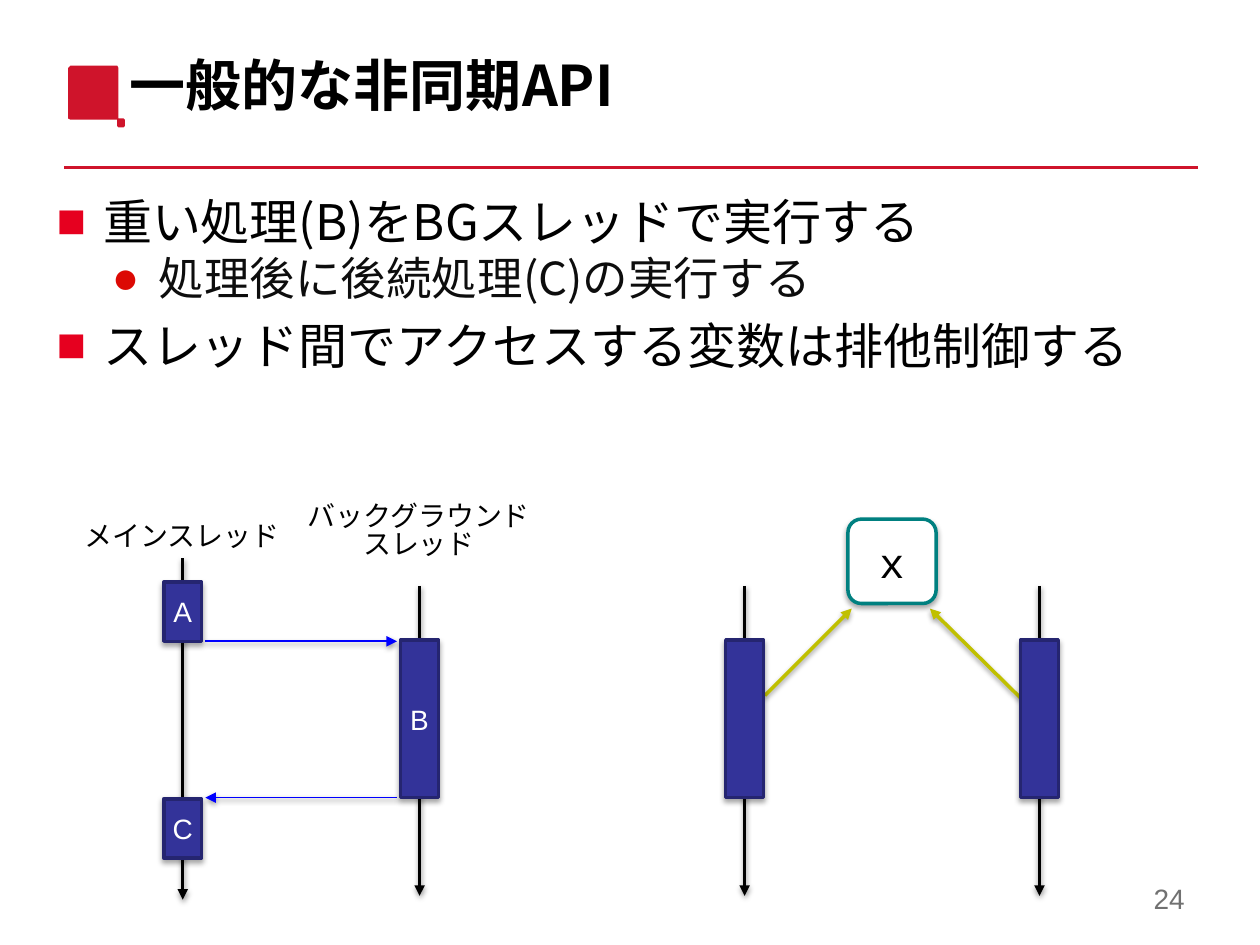
from lxml.etree import SubElement
from pptx import Presentation
from pptx.dml.color import RGBColor
from pptx.enum.shapes import MSO_CONNECTOR, MSO_SHAPE
from pptx.enum.text import MSO_ANCHOR, PP_ALIGN
from pptx.oxml.ns import qn
from pptx.util import Inches, Pt


class Theme:
    red, black, white = "CF142B", "000000", "FFFFFF"
    navy, edge, blue = "333399", "252570", "0000FF"
    teal, olive = "008080", "C0C000"
    sans, mono, kanji = "Arial", "Courier New", "Noto Sans CJK JP"
    tight = 0.83
    title = {"name": kanji, "size": Pt(32), "bold": True}
    main = {"name": kanji, "size": Pt(28)}
    sub = {"name": kanji, "size": Pt(26)}
    label = {"name": sans, "size": Pt(16)}
    code = {"name": mono, "size": Pt(24)}


def write(par, text, style, color, **layout):
    """Put one styled run into a paragraph, with the given paragraph format."""
    for key, value in layout.items():
        setattr(par, key, value)
    run = par.add_run()
    run.text = text
    for key, value in style.items():
        setattr(run.font, key, value)
    run.font.color.rgb = RGBColor.from_string(color)
    SubElement(run.font._element, qn("a:ea"), typeface=Theme.kanji)


def cast(shape, alpha=0, drop=0):
    """Give a shape a soft shadow straight below, or none when alpha is 0."""
    props = shape._element.spPr
    effects = SubElement(props, qn("a:effectLst"))
    if alpha:
        shadow = SubElement(effects, qn("a:outerShdw"), blurRad=str(Pt(3)),
                            dist=str(Pt(drop)), dir="5400000", rotWithShape="0")
        tint = SubElement(shadow, qn("a:srgbClr"), val=Theme.black)
        SubElement(tint, qn("a:alpha"), val=str(alpha * 1000))


deck = Presentation()
deck.slide_width, deck.slide_height = Inches(10), Inches(7.5)
slide = deck.slides.add_slide(deck.slide_layouts[6])
shapes = slide.shapes

# Title mark: a square with a small tab at its lower right, corners cut
mark = [(0.56, 0.52), (0.93, 0.52), (0.94, 0.54), (0.94, 0.94), (0.98, 0.94),
        (0.99, 0.95), (0.99, 1), (0.98, 1.01), (0.94, 1.01), (0.93, 1),
        (0.93, 0.95), (0.56, 0.95), (0.54, 0.94), (0.54, 0.54)]
points = [(Inches(x), Inches(y)) for x, y in mark]
pen = shapes.build_freeform(*points[0])
pen.add_line_segments(points[1:])
badge = pen.convert_to_shape()
badge.shadow.inherit = False
badge.fill.solid()
badge.fill.fore_color.rgb = RGBColor.from_string(Theme.red)
badge.line.fill.background()

# Title, page number and thread names
left, mid, right = PP_ALIGN.LEFT, PP_ALIGN.CENTER, PP_ALIGN.RIGHT
top, middle = MSO_ANCHOR.TOP, MSO_ANCHOR.MIDDLE
notes = [
    ((0.93, 0.36, 7.05, 0.7), ["一般的な非同期API"], Theme.title, Theme.black,
     left, middle, 0.1),
    ((7.35, 6.95, 2.15, 0.4), ["24"], Theme.label, "717171", right, middle, 0.1),
    ((0.62, 4.11, 1.66, 0.32), ["メインスレッド"], Theme.label, Theme.black,
     left, top, 0.05),
    ((2.35, 3.95, 1.95, 0.66), ["バックグラウンド", "スレッド"], Theme.label,
     Theme.black, mid, top, 0.05),
]
for place, lines, style, color, align, anchor, inset in notes:
    frame = shapes.add_textbox(*map(Inches, place)).text_frame
    frame.word_wrap = inset == 0.1
    frame.vertical_anchor = anchor
    frame.margin_left = frame.margin_right = Inches(inset)
    for i, text in enumerate(lines):
        par = frame.add_paragraph() if i else frame.paragraphs[0]
        write(par, text, style, color, alignment=align, line_spacing=Theme.tight)

# Bulleted points
points = [
    ("重い処理(B)をBGスレッドで実行する", 0, 0.37, "■", "E6001F", Theme.main, Theme.black, 0),
    ("処理後に後続処理(C)の実行する", 1, 0.81, "●", "DC0904", Theme.sub, "0D0D0D", 6),
    ("スレッド間でアクセスする変数は排他制御する", 0, 0.37, "■", "E6001F", Theme.main,
     Theme.black, 0),
]
frame = shapes.add_textbox(*map(Inches, (0.35, 1.55, 9.65, 2.03))).text_frame
frame.word_wrap = True
for i, (text, level, indent, sign, tint, style, color, after) in enumerate(points):
    par = frame.add_paragraph() if i else frame.paragraphs[0]
    props = par._p.get_or_add_pPr()
    props.set("marL", str(Inches(indent)))
    props.set("indent", str(-Inches(0.37)))
    SubElement(SubElement(props, qn("a:buClr")), qn("a:srgbClr"), val=tint)
    SubElement(props, qn("a:buFont"), typeface=Theme.sans)
    SubElement(props, qn("a:buChar"), char=sign)
    before = int(style["size"] * 0.2) if i else 0
    write(par, text, style, color, level=level, line_spacing=Theme.tight,
          space_before=before, space_after=Pt(after))

# Title rule, life lines, calls between threads, access to the variable
links = [(0.51, 1.33, 9.51, 1.33, Theme.red, 2), (1.45, 4.43, 1.45, 7.14, Theme.black, 2)]
links += [(x, 4.65, x, 7.11, Theme.black, 2) for x in (3.33, 5.91, 8.25)]
links += [
    (1.63, 5.09, 3.15, 5.09, Theme.blue, 1),
    (3.15, 6.33, 1.63, 6.33, Theme.blue, 1),
    (6.07, 5.52, 6.76, 4.83, Theme.olive, 2),
    (8.1, 5.54, 7.38, 4.83, Theme.olive, 2),
]
for *ends, color, width in links:
    link = shapes.add_connector(MSO_CONNECTOR.STRAIGHT, *map(Inches, ends))
    link.line.color.rgb = RGBColor.from_string(color)
    link.line.width = Pt(width)
    if color == Theme.red:
        cast(link)
    else:
        SubElement(link.line._get_or_add_ln(), qn("a:tailEnd"), type="triangle")
        cast(link, 38, 1.6)

# Work on each thread, and the shared variable
rect, bar = MSO_SHAPE.RECTANGLE, (Theme.navy, Theme.edge, Theme.label, Theme.white)
boxes = [
    (rect, (1.3, 4.62, 0.3, 0.47), "A", *bar),
    (rect, (3.18, 5.08, 0.3, 1.25), "B", *bar),
    (rect, (1.3, 6.34, 0.3, 0.47), "C", *bar),
    (rect, (5.76, 5.08, 0.3, 1.25), "", *bar),
    (rect, (8.1, 5.08, 0.3, 1.25), "", *bar),
    (MSO_SHAPE.ROUNDED_RECTANGLE, (6.73, 4.12, 0.7, 0.67), "x",
     Theme.white, Theme.teal, Theme.code, Theme.black),
]
for kind, place, text, fill, edge, style, color in boxes:
    box = shapes.add_shape(kind, *map(Inches, place))
    if kind != rect:
        box.adjustments[0] = 0.16
    box.fill.solid()
    box.fill.fore_color.rgb = RGBColor.from_string(fill)
    box.line.color.rgb = RGBColor.from_string(edge)
    box.line.width = Pt(2)
    cast(box, 35, 1.8)
    if text:
        frame = box.text_frame
        frame.vertical_anchor = middle
        for side in ("left", "top", "right", "bottom"):
            setattr(frame, f"margin_{side}", Inches(0.05))
        write(frame.paragraphs[0], text, style, color, alignment=mid)

deck.save("out.pptx")
